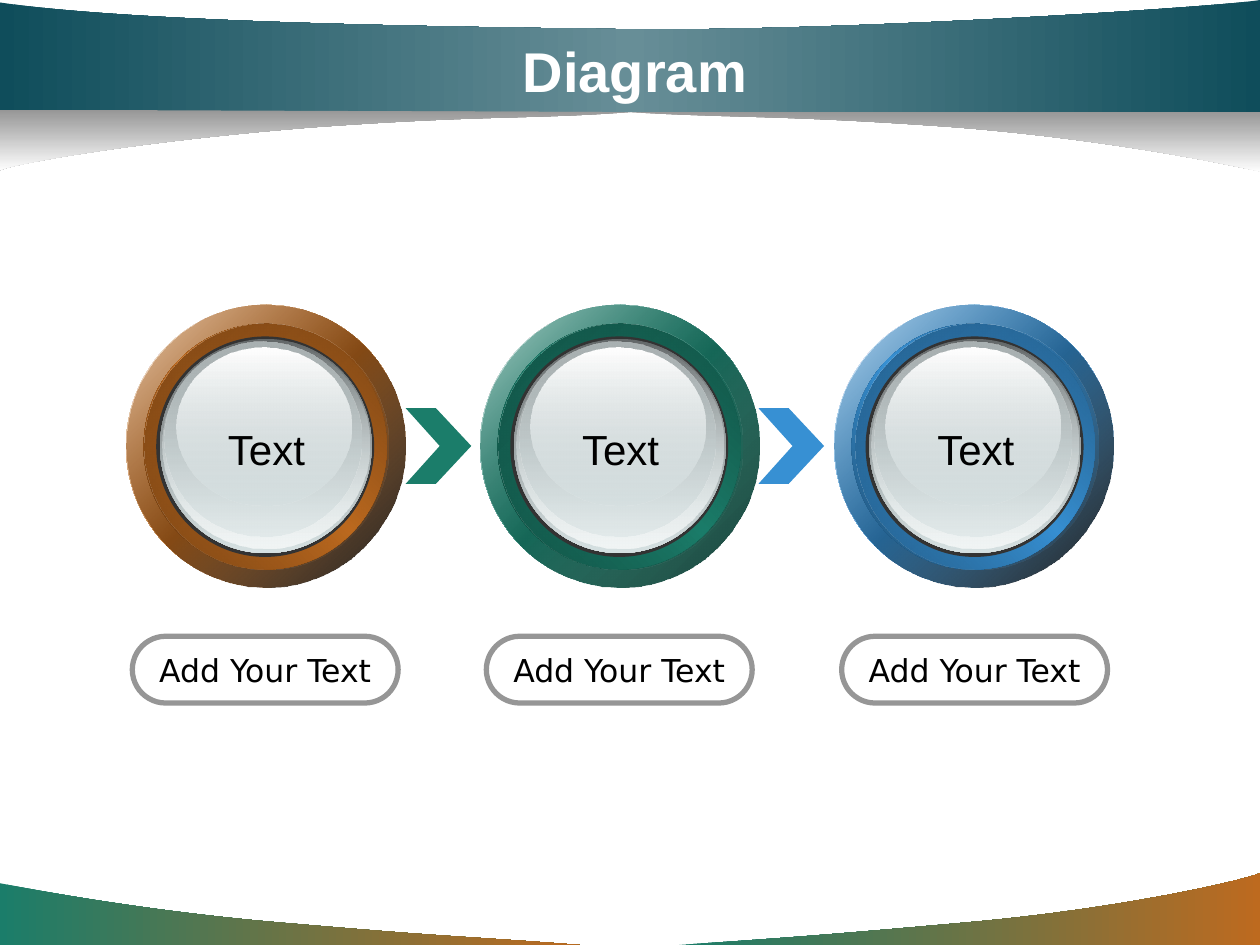
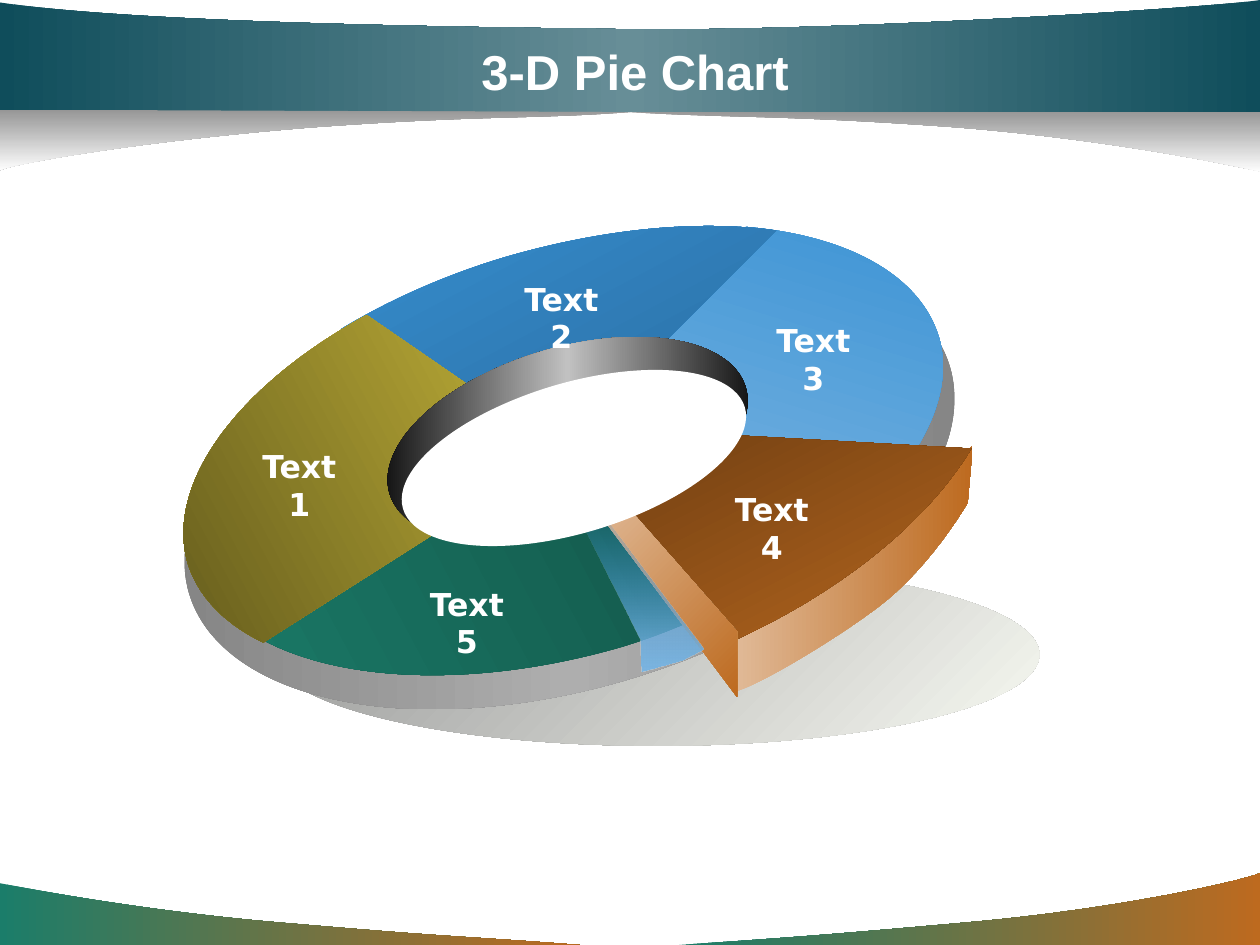
from math import cos, radians, sin

from lxml.etree import SubElement as Sub
from pptx import Presentation
from pptx.dml.color import RGBColor as RGB
from pptx.enum.shapes import MSO_SHAPE as Kind
from pptx.enum.text import MSO_ANCHOR as Anchor, PP_ALIGN as Align
from pptx.oxml.ns import qn
from pptx.util import Inches, Pt

C = {
    "white": "FFFFFF", "black": "000000", "coal": "333333",
    "gray": "969696", "mist": "F7F9F2",
    "navy": "0F4D5B", "haze": "678E97",
    "orange": "BD6A1F", "orange_dark": "663911", "orange_deep": "784314",
    "green": "1B7D6A", "green_dark": "0F4439", "green_deep": "114F43",
    "blue": "3790D3", "blue_dark": "1E4E72", "blue_deep": "235B86",
    "pine": "0D3A31", "slate": "636869", "glass": "D6E1E2",
    "shine": "F1F5F5", "ash": "AAB2B3",
    "rim": "808080", "rim_light": "AEAEAE", "silver": "C1C1C1",
    "teal": "2791BB", "sky": "80B8E3", "moss": "13574A", "ocean": "286899",
    "gold": "CBBA3B", "olive": "5E561B", "sand": "E1BB99",
    "brown": "57310E", "ice": "7AB5E2",
}


def draw(slide, box, fill, ang=0, rot=0, form=None):
    """Draw an ellipse in a box, or the closed outline given by form.

    Outline steps are slide points; six numbers are a curve (two controls, end).
    A fill is one colour name, or a list of evenly spaced gradient stops,
    each a name or a (name, opacity) pair. The angle is clockwise on the slide.
    """
    x, y, w, h = box
    if form is None:
        shape = slide.shapes.add_shape(Kind.OVAL, *map(Inches, box))
    else:
        pen = slide.shapes.build_freeform(Inches(x), Inches(y))
        pen.add_line_segments([(Inches(x + w), Inches(y + h))])
        shape = pen.convert_to_shape()
        trace = next(shape.element.iter(qn("a:path")))
        for old in list(trace):
            trace.remove(old)
        # Turn slide points back into the frame of the unrotated box
        co, si = cos(radians(rot)), sin(radians(rot))
        for i, step in enumerate(form):
            tag = "cubicBezTo" if len(step) == 6 else "lnTo" if i else "moveTo"
            node = Sub(trace, qn("a:" + tag))
            for px, py in zip(step[::2], step[1::2]):
                dx, dy = px - x - w / 2, py - y - h / 2
                Sub(node, qn("a:pt"), x=str(Inches(w / 2 + dx * co + dy * si)),
                    y=str(Inches(h / 2 + dy * co - dx * si)))
        Sub(trace, qn("a:close"))
    shape.rotation = rot
    shape.shadow.inherit = False
    shape.line.fill.background()
    if isinstance(fill, str):
        shape.fill.solid()
        shape.fill.fore_color.rgb = RGB.from_string(C[fill])
        return shape
    shape.fill.gradient()
    shape.fill.gradient_angle = (rot - ang) % 360
    stops = next(shape.element.iter(qn("a:gsLst")))
    for old in list(stops):
        stops.remove(old)
    for i, stop in enumerate(fill):
        name, alpha = (stop, 100) if isinstance(stop, str) else stop
        gs = Sub(stops, qn("a:gs"), pos=str(100000 * i // (len(fill) - 1)))
        tone = Sub(gs, qn("a:srgbClr"), val=C[name])
        if alpha < 100:
            Sub(tone, qn("a:alpha"), val=str(alpha * 1000))
    return shape


def write(shape, text, size=18, font="DejaVu Sans", color="black",
          bold=False, anchor=Anchor.TOP, wrap=False):
    frame = shape.text_frame
    frame.word_wrap = wrap
    frame.vertical_anchor = anchor
    para = frame.paragraphs[0]
    para.alignment = Align.CENTER
    run = para.add_run()
    run.text = text
    run.font.size = Pt(size)
    run.font.name = font
    run.font.bold = bold
    run.font.color.rgb = RGB.from_string(C[color])


prs = Presentation()
prs.slide_width, prs.slide_height = Inches(10), Inches(7.5)

# Slides with their titles
pages = []
for title, size in [("Diagram", 32), ("3-D Pie Chart", 28)]:
    page = prs.slides.add_slide(prs.slide_layouts[6])
    box = page.shapes.add_textbox(*map(Inches, (0.75, 0.25, 8.58, 0.62)))
    write(box, title, size=size, font="Arial", color="white", bold=True,
          anchor=Anchor.MIDDLE, wrap=True)
    pages.append(page)
flow, pie = pages

# Bands: drawn once, then moved to the slide master
bands = [
    ((0, 7.01, 4.6, 0.49), ["green", "orange"], 0,
     [(4.6, 7.5), (3.84, 7.44, 3.58, 7.44, 2.32, 7.33),
      (1.06, 7.23, 0.01, 7.01, 0, 7.01), (0, 7.5)]),
    ((5.39, 6.93, 4.61, 0.57), ["green", "orange"], 0,
     [(5.39, 7.5), (6.14, 7.45, 6.46, 7.43, 7.69, 7.32),
      (8.92, 7.21, 9.9, 6.98, 10, 6.93), (10, 7.5)]),
    ((5, 0.88, 5, 0.49), ["gray", "white"], 90,
     [(5, 0.89), (5.84, 0.94, 6.2, 0.91, 7.58, 1.01),
      (8.97, 1.12, 9.98, 1.36, 10, 1.36), (10, 0.88)]),
    ((0, 0, 10, 0.89), ["navy", "haze", "navy"], 0,
     [(0, 0.89), (10, 0.89), (10, 0), (9.64, 0.06, 6.53, 0.26, 4.87, 0.23),
      (3.21, 0.21, 1.01, 0.17, 0, 0.02)]),
    ((0, 0.87, 5, 0.49), ["gray", "white"], 90,
     [(5, 0.89), (4.16, 0.95, 3.88, 0.91, 2.49, 1.01),
      (1.1, 1.12, 0.11, 1.3, 0, 1.35), (0, 0.87)]),
]
for i, (box, fill, ang, form) in enumerate(bands):
    band = draw(flow, box, fill, ang, form=form).element
    band.nvSpPr.cNvPr.set("id", str(20 + i))
    prs.slide_master.shapes.element.append(band)

# Flow: arrows between the buttons, each in the colour of the next one
for x, hue in [(3.22, "green"), (6.02, "blue")]:
    draw(flow, (x, 3.24, 0.52, 0.6), hue, form=[
        (x, 3.24), (x + 0.24, 3.24), (x + 0.52, 3.54),
        (x + 0.24, 3.84), (x, 3.84), (x + 0.27, 3.54)])

# Flow: buttons of stacked discs, with a word and a pill label
buttons = [  # ring left, pill left, inner ring left, hue, shade
    (1, 1.05, 1.15, "orange", ("black", 90)),
    (3.81, 3.86, 3.96, "green", "pine"),
    (6.62, 6.68, 6.79, "blue", ("black", 90)),
]
for x, left, mid, hue, shade in buttons:
    dark, deep = hue + "_dark", hue + "_deep"
    discs = [
        (x, 2.42, 2.22, 2.24, ["white", hue, "white"], 45),
        (x, 2.42, 2.22, 2.24, [(hue, 32), shade], 45),
        (x + 0.14, 2.57, 1.93, 1.95, [dark, hue, dark], 315),
        (mid, 2.57, 1.93, 1.95, [deep, (hue, 0)], 45),
        (left + 0.19, 2.67, 1.73, 1.75, "coal", 0),
        (left + 0.22, 2.69, 1.68, 1.7, ["slate", "glass"], 90),
        (left + 0.24, 2.7, 1.64, 1.65, [("glass", 0), "shine"], 90),
        (left + 0.26, 2.71, 1.56, 1.55, ["ash", ("glass", 48)], 90),
        (left + 0.35, 2.76, 1.39, 1.25, ["white", ("glass", 38)], 90),
    ]
    for *box, fill, ang in discs:
        draw(flow, box, fill, ang)
    word = flow.shapes.add_textbox(*map(Inches, (left + 0.64, 3.31, 0.85, 0.5)))
    write(word, "Text", size=24, font="Arial")
    pill = flow.shapes.add_shape(Kind.ROUNDED_RECTANGLE,
                                 *map(Inches, (left, 5.05, 2.11, 0.53)))
    pill.adjustments[0] = 0.5
    pill.shadow.inherit = False
    pill.fill.background()
    pill.line.width = Pt(3)
    pill.line.color.rgb = RGB.from_string(C["gray"])
    write(pill, "Add Your Text", anchor=Anchor.MIDDLE)

# Pie: shadow, rim and base
tilt = 343.4
draw(pie, (2.17, 4.47, 6.08, 1.45), ["gray", "mist"], 45)
draw(pie, (1.37, 2.16, 6.3, 3.3), ["rim", "rim_light", "rim"], 0, tilt)
draw(pie, (1.44, 1.98, 6.08, 3.2), ["teal", "black"], 62, tilt)

# Pie: slices, with the sides of the pulled one
slices = [
    ((4.34, 1.86, 3.12, 2.15), ["blue", "sky"], 107, tilt,
     [(5.92, 1.8), (6.74, 1.87, 7.3, 2.19, 7.45, 2.67),
      (7.54, 2.97, 7.45, 3.32, 7.2, 3.67), (4.46, 3.56)]),
    ((1.7, 3.91, 3.59, 1.61), ["moss", "green"], 152, tilt,
     [(1.6, 4.63), (2.01, 5.36, 3.44, 5.57, 4.95, 5.13),
      (5.11, 5.08, 5.28, 5.02, 5.44, 4.95), (4.48, 3.58)]),
    ((2.81, 1.91, 3.53, 1.55), ["blue", "ocean"], 62, tilt,
     [(2.71, 2.61), (3.09, 2.38, 3.54, 2.18, 4.01, 2.04),
      (4.77, 1.82, 5.53, 1.74, 6.16, 1.83), (4.46, 3.53)]),
    ((1.33, 2.56, 3.12, 2.26), ["gold", "olive"], 152, tilt,
     [(2.91, 2.5), (1.87, 3.07, 1.31, 3.85, 1.49, 4.47),
      (1.57, 4.73, 1.78, 4.95, 2.09, 5.1), (4.48, 3.58)]),
    ((5.8, 3.54, 1.92, 1.94), ["sand", "orange"], 0, 0,
     [(5.82, 5.09), (7.72, 3.54), (7.68, 3.99),
      (7.56, 4.19, 7.33, 4.52, 7.03, 4.77), (6.72, 5.02, 6.03, 5.44, 5.83, 5.49),
      (5.8, 5.35, 5.82, 5.09, 5.82, 5.09)]),
    ((4.76, 2.88, 2.98, 2.03), ["brown", "orange"], 63, 342.3,
     [(7.71, 3.56), (7.34, 4.17, 6.62, 4.74, 5.72, 5.13), (4.52, 3.38)]),
    ((4.72, 3.92, 1.13, 1.61), ["sand", "orange"], 45, 0,
     [(5.85, 5.01), (5.85, 5.53), (4.72, 4.03), (4.89, 3.92)]),
]
for box, fill, ang, rot, form in slices:
    draw(pie, box, fill, ang, rot, form)

# Pie: inner wall, labels, gap and hole
draw(pie, (3.03, 2.76, 2.95, 1.47), ["black", "silver", "black"], 0, tilt)
spots = [(1.93, 3.5), (4.01, 2.17), (6.01, 2.5), (5.68, 3.84), (3.26, 4.59)]
for n, (x, y) in enumerate(spots, 1):
    label = pie.shapes.add_textbox(*map(Inches, (x, y, 0.89, 0.4)))
    write(label, f"Text{n}", color="white", bold=True, wrap=True)
draw(pie, (4.63, 4.15, 0.94, 1.18), [("blue", 19), "ice"], 90, form=[
    (4.63, 4.18), (5.08, 5.07), (5.09, 5.33), (5.41, 5.24), (5.58, 5.15),
    (4.83, 4.15)])
draw(pie, (3.14, 3.04, 2.83, 1.19), "white", rot=tilt)

prs.save("out.pptx")
